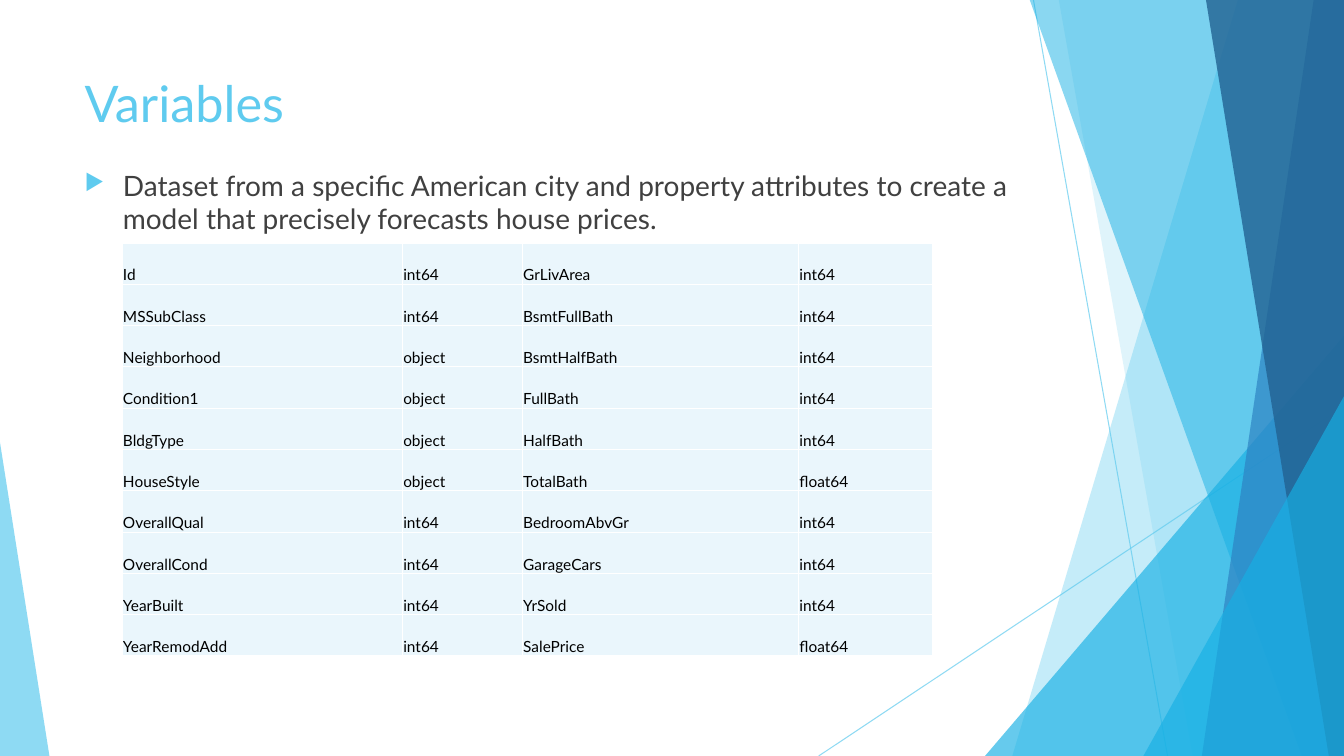
from lxml import etree
from pptx import Presentation
from pptx.dml.color import RGBColor
from pptx.enum.shapes import MSO_CONNECTOR, MSO_SHAPE
from pptx.enum.text import MSO_ANCHOR
from pptx.oxml.ns import qn
from pptx.util import Inches, Pt

STRAIGHT = MSO_CONNECTOR.STRAIGHT
TRIANGLE = MSO_SHAPE.ISOSCELES_TRIANGLE
TOP, BOTTOM = MSO_ANCHOR.TOP, MSO_ANCHOR.BOTTOM
WIDTH, HEIGHT = 13.33, 7.5
SKY, CYAN, BLUE, NAVY = "5FCBEF", "17B0E4", "2E83C3", "226292"
DARK, BLACK, WHITE, PALE = "404040", "000000", "FFFFFF", "EAF6FC"


def color(value):
    return RGBColor.from_string(value)


def add_xml(parent, tag, **attributes):
    return etree.SubElement(parent, qn(tag), attributes)


class VariablesSlide:
    """Holds the font and the current page and adds each kind of element."""

    font = "Lato"

    def __init__(self, page):
        self.page = page

    def set_opacity(self, shape, percent):
        for tint in shape._element.spPr.iter(qn("a:srgbClr")):
            add_xml(tint, "a:alpha", val=str(percent * 1000))

    def paint(self, shape, fill, opacity):
        shape.shadow.inherit = False
        shape.fill.solid()
        shape.fill.fore_color.rgb = color(fill)
        shape.line.fill.background()
        self.set_opacity(shape, opacity)

    def line(self, start, end):
        points = [Inches(value) for value in start + end]
        connector = self.page.shapes.add_connector(STRAIGHT, *points)
        connector.line.color.rgb = color(SKY)
        connector.line.width = Pt(0.75)
        self.set_opacity(connector, 70)
        add_xml(connector._element.spPr, "a:effectLst")

    def right_panel(self, top_x, bottom_x, fill, opacity):
        corners = [(top_x, -0.01), (WIDTH, -0.01), (WIDTH, HEIGHT), (bottom_x, HEIGHT)]
        points = [(Inches(x), Inches(y)) for x, y in corners]
        builder = self.page.shapes.build_freeform(*points[0], scale=1.0)
        builder.add_line_segments(points[1:], close=True)
        self.paint(builder.convert_to_shape(), fill, opacity)

    def corner_triangle(self, left, top, width, peak, fill, opacity):
        shape = self.page.shapes.add_shape(
            TRIANGLE, Inches(left), Inches(top), Inches(width), Inches(HEIGHT - top))
        shape.adjustments[0] = peak
        self.paint(shape, fill, opacity)

    def span(self, para, words, size, ink):
        span = para.add_run()
        span.text = words
        span.font.name = self.font
        span.font.size = Pt(size)
        span.font.color.rgb = color(ink)

    def text(self, left, top, width, height, words, size, ink):
        box = self.page.shapes.add_textbox(
            Inches(left), Inches(top), Inches(width), Inches(height))
        box.text_frame.word_wrap = True
        box.text_frame.vertical_anchor = TOP
        para = box.text_frame.paragraphs[0]
        self.span(para, words, size, ink)
        return para

    def bullet(self, para):
        para.space_before = Pt(10)
        properties = para._p.get_or_add_pPr()
        properties.set("marL", str(Inches(0.38)))
        properties.set("indent", str(Inches(-0.38)))
        add_xml(add_xml(properties, "a:buClr"), "a:srgbClr", val=SKY)
        add_xml(properties, "a:buSzPct", val="80000")
        add_xml(properties, "a:buChar", char="▶")

    def cell(self, cell, words):
        cell.margin_left = cell.margin_right = cell.margin_top = Inches(0.01)
        cell.margin_bottom = 0
        cell.vertical_anchor = BOTTOM
        self.span(cell.text_frame.paragraphs[0], words, 11, BLACK)
        properties = cell._tc.get_or_add_tcPr()
        for side in "LRTB":
            border = add_xml(properties, f"a:ln{side}", w=str(Pt(1)))
            add_xml(add_xml(border, "a:solidFill"), "a:srgbClr", val=WHITE)
        cell.fill.solid()
        cell.fill.fore_color.rgb = color(PALE)

    def table(self, left, top, widths, row_height, rows):
        table = self.page.shapes.add_table(
            len(rows), len(widths), Inches(left), Inches(top),
            Inches(sum(widths)), Inches(row_height * len(rows))).table
        table.first_row = table.horz_banding = False
        for column, width in zip(table.columns, widths):
            column.width = Inches(width)
        for row, values in zip(table.rows, rows):
            row.height = Inches(row_height)
            for cell, words in zip(row.cells, values):
                self.cell(cell, words)


VARIABLES = [
    ("Id", "int64", "GrLivArea", "int64"),
    ("MSSubClass", "int64", "BsmtFullBath", "int64"),
    ("Neighborhood", "object", "BsmtHalfBath", "int64"),
    ("Condition1", "object", "FullBath", "int64"),
    ("BldgType", "object", "HalfBath", "int64"),
    ("HouseStyle", "object", "TotalBath", "float64"),
    ("OverallQual", "int64", "BedroomAbvGr", "int64"),
    ("OverallCond", "int64", "GarageCars", "int64"),
    ("YearBuilt", "int64", "YrSold", "int64"),
    ("YearRemodAdd", "int64", "SalePrice", "float64"),
]


def main():
    deck = Presentation()
    deck.slide_width, deck.slide_height = Inches(WIDTH), Inches(HEIGHT)
    slide = VariablesSlide(deck.slides.add_slide(deck.slide_layouts[6]))

    slide.line((10.25, 0), (11.58, HEIGHT))
    slide.line((WIDTH, 4.03), (8.12, HEIGHT))
    slide.right_panel(12.28, 10.04, SKY, 36)
    slide.right_panel(10.5, 11.83, SKY, 20)
    slide.corner_triangle(9.77, 3.33, 3.56, 1, CYAN, 66)
    slide.right_panel(10.21, 12.91, CYAN, 50)
    slide.right_panel(13.03, 11.92, BLUE, 70)
    slide.right_panel(11.96, 13.18, NAVY, 80)
    slide.corner_triangle(11.34, 3.93, 1.99, 1, CYAN, 66)
    slide.corner_triangle(0, 4.39, 0.49, 0, SKY, 70)

    slide.text(0.74, 0.67, 9.4, 1.44, "Variables", 36, SKY)
    summary = slide.text(
        0.74, 1.62, 9.4, 4.98,
        "Dataset from a specific American city and property attributes "
        "to create a model that precisely forecasts house prices.", 20, DARK)
    slide.bullet(summary)
    slide.table(1.21, 2.41, (2.78, 1.19, 2.74, 1.33), 0.41, VARIABLES)

    deck.save("out.pptx")


if __name__ == "__main__":
    main()
